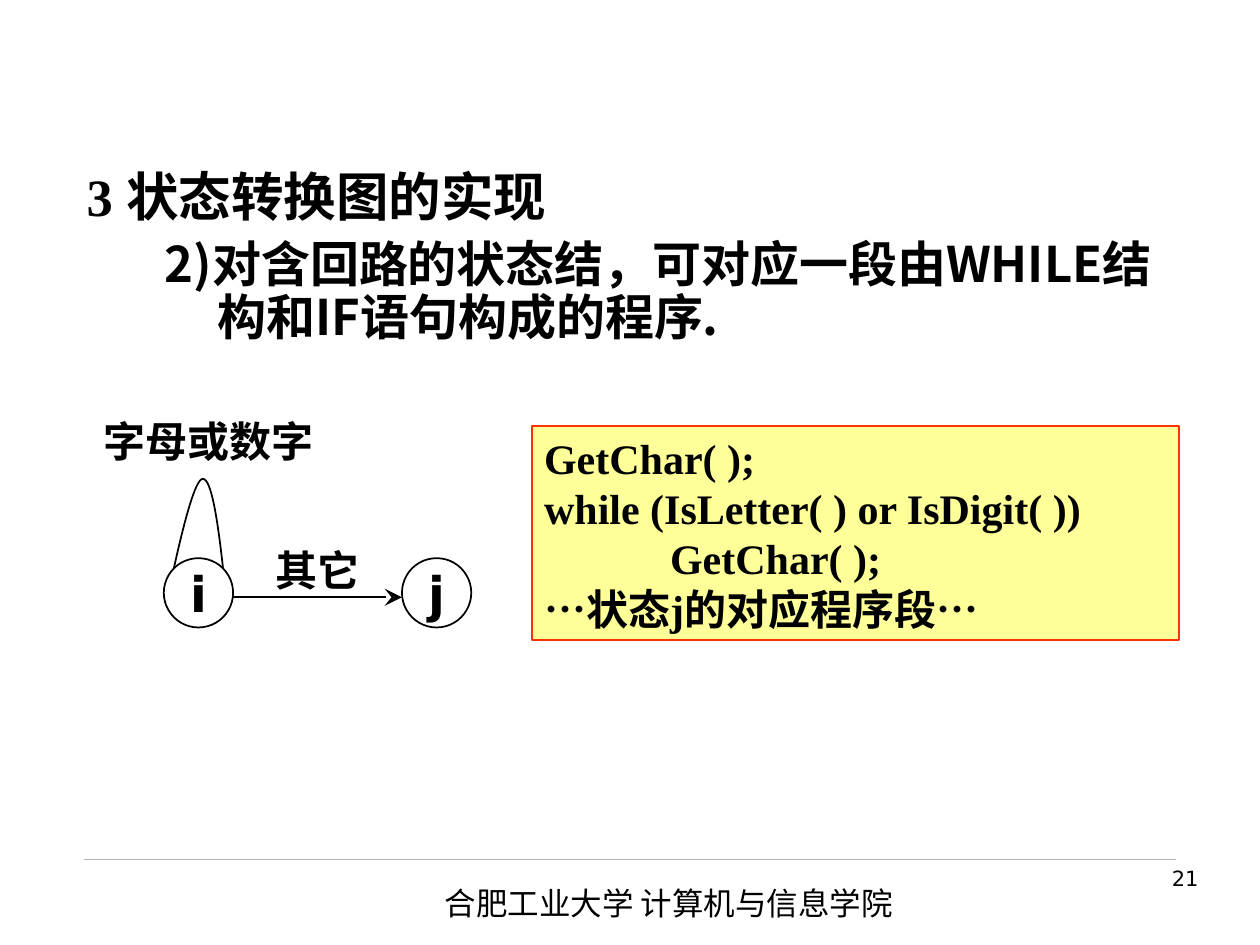
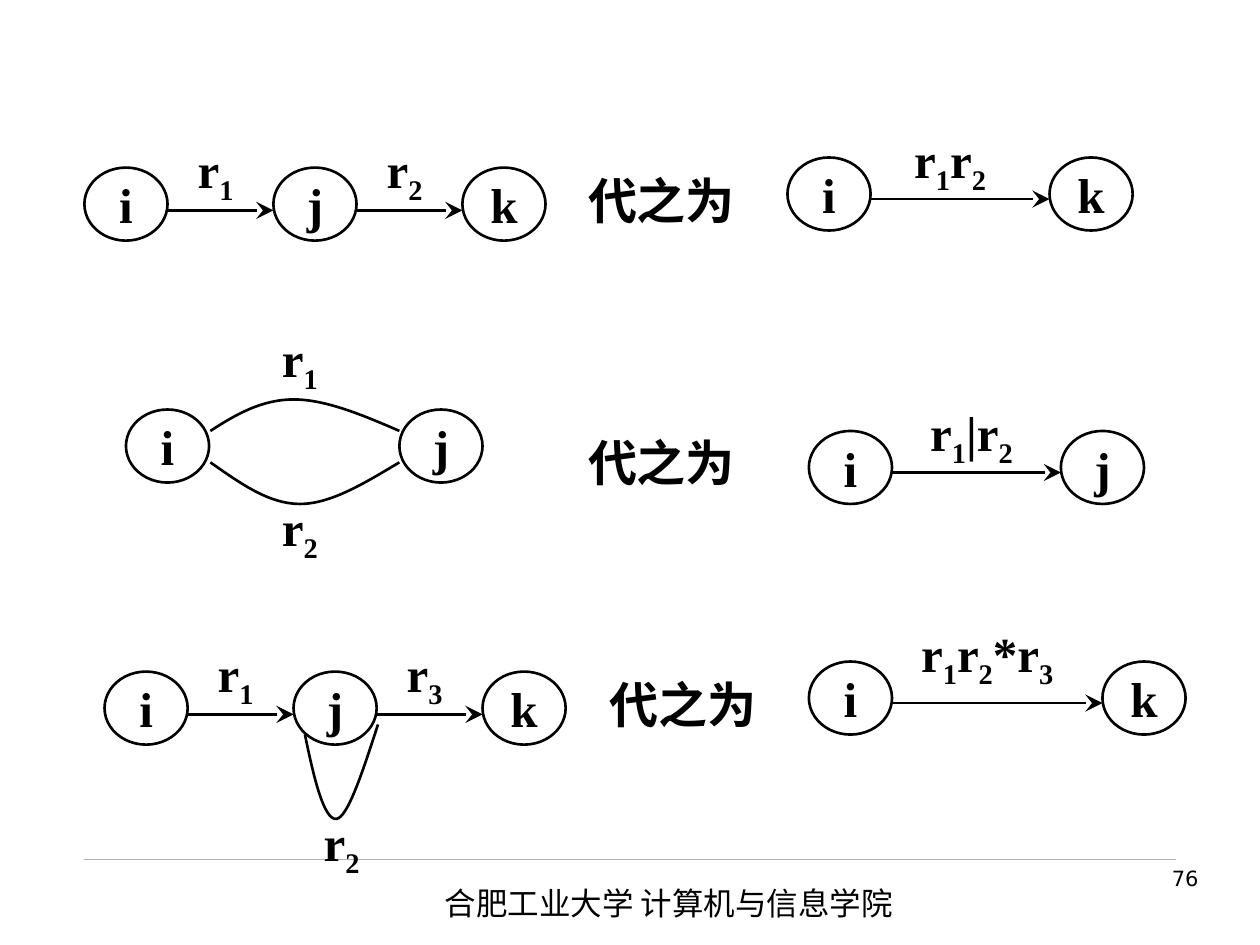
"""Builds two slides on state transition diagrams and their rewriting rules."""
from itertools import groupby

from lxml import etree
from pptx import Presentation
from pptx.dml.color import RGBColor
from pptx.enum.shapes import MSO_CONNECTOR, MSO_SHAPE
from pptx.enum.text import MSO_ANCHOR, PP_ALIGN
from pptx.oxml.ns import qn
from pptx.util import Inches, Pt

BLACK, RULE_GREY = "000000", "B2B2B2"
CODE_FILL, CODE_BORDER = "FFFF99", "FF3300"
SERIF, SANS, CHINESE, PLAIN = "Times New Roman", "Arial", "Noto Sans CJK SC", "DejaVu Sans"
SCHOOL = "合肥工业大学 计算机与信息学院"
NODE_WIDTH, NODE_HEIGHT = 0.66, 0.58


def color(value):
    """Turn a hex string into a colour."""
    return RGBColor.from_string(value)


class DiagramDeck:
    """Holds the deck, the current slide and the drawing style."""

    def __init__(self):
        """Start an empty deck of 10 by 7.5 inches."""
        self.deck = Presentation()
        self.deck.slide_width, self.deck.slide_height = Inches(10), Inches(7.5)
        self.page = None
        self.weight = 1

    def new_page(self, number, weight):
        """Add a page with its footer and set the diagram line weight."""
        self.page = self.deck.slides.add_slide(self.deck.slide_layouts[6])
        self.weight = weight
        self.line((0.67, 6.82), (9.33, 6.82), RULE_GREY, 0.25)
        self.text(3.43, 6.97, 4.72, 0.4, SCHOOL, 18, CHINESE, bold=False)
        self.text(7.44, 6.82, 2.17, 0.52, number, 12, PLAIN, PP_ALIGN.RIGHT, bold=False)

    def span(self, para, text, size, font=SERIF, bold=True):
        """Add one run with Latin and Chinese typefaces."""
        span = para.add_run()
        span.text = text
        span.font.size, span.font.bold, span.font.name = Pt(size), bold, font
        span.font.color.rgb = color(BLACK)
        properties = span._r.get_or_add_rPr()
        etree.SubElement(properties, qn("a:ea")).set("typeface", CHINESE)
        return properties

    def frame(self, shape, wrap=True, anchor=MSO_ANCHOR.TOP):
        """Prepare a text frame, without side margins if it does not wrap."""
        frame = shape.text_frame
        frame.word_wrap, frame.vertical_anchor = wrap, anchor
        if not wrap:
            frame.margin_left = frame.margin_right = 0
        return frame

    def box(self, left, top, width, height, wrap=True, anchor=MSO_ANCHOR.TOP):
        """Add an empty text box and return its frame."""
        shape = self.page.shapes.add_textbox(Inches(left), Inches(top), Inches(width), Inches(height))
        return self.frame(shape, wrap, anchor)

    def text(self, left, top, width, height, text, size, font=SERIF,
             align=PP_ALIGN.LEFT, bold=True, wrap=True):
        """Add a text box of one run."""
        para = self.box(left, top, width, height, wrap).paragraphs[0]
        para.alignment = align
        self.span(para, text, size, font, bold)

    def label(self, left, top, width, text, height=NODE_HEIGHT):
        """Add a centred label whose digits are subscripts."""
        para = self.box(left, top, width, height, False, MSO_ANCHOR.MIDDLE).paragraphs[0]
        para.alignment = PP_ALIGN.CENTER
        for is_index, characters in groupby(text, str.isdigit):
            properties = self.span(para, "".join(characters), 28)
            if is_index:
                properties.set("baseline", "-25000")

    def shape(self, kind, left, top, width, height, border=BLACK, fill=None):
        """Add an outlined preset shape."""
        shape = self.page.shapes.add_shape(kind, Inches(left), Inches(top), Inches(width), Inches(height))
        self.outline(shape, border, fill)
        return shape

    def outline(self, shape, border=BLACK, fill=None):
        """Give a shape its line and fill without a shadow."""
        shape.shadow.inherit = False
        shape.line.color.rgb, shape.line.width = color(border), Pt(self.weight)
        if fill:
            shape.fill.solid()
            shape.fill.fore_color.rgb = color(fill)
        else:
            shape.fill.background()

    def node(self, left, top, name, width=NODE_WIDTH, height=NODE_HEIGHT, font=SERIF):
        """Add a named state."""
        state = self.shape(MSO_SHAPE.OVAL, left, top, width, height)
        para = self.frame(state, False, MSO_ANCHOR.MIDDLE).paragraphs[0]
        para.alignment = PP_ALIGN.CENTER
        self.span(para, name, 28, font)

    def line(self, start, end, stroke=BLACK, weight=None, arrow=False):
        """Add a straight line, with an arrowhead on request."""
        points = [Inches(value) for value in (*start, *end)]
        line = self.page.shapes.add_connector(MSO_CONNECTOR.STRAIGHT, *points)
        line.line.color.rgb, line.line.width = color(stroke), Pt(weight or self.weight)
        if arrow:
            etree.SubElement(line.line._get_or_add_ln(), qn("a:tailEnd"),
                             type="stealth", w="lg", len="lg")
        etree.SubElement(line._element.spPr, qn("a:effectLst"))

    def curve(self, start, *points):
        """Draw joined cubic curves, with two controls and an end for each."""
        builder = self.page.shapes.build_freeform(Inches(start[0]), Inches(start[1]))
        builder.add_line_segments([(Inches(x), Inches(y)) for x, y in points], close=False)
        shape = builder.convert_to_shape()
        outline = next(shape._element.iter(qn("a:path")))
        for index, segment in enumerate(outline.findall(qn("a:lnTo"))):
            if index % 3 == 0:
                cubic = etree.SubElement(outline, qn("a:cubicBezTo"))
            cubic.append(segment[0])
            outline.remove(segment)
        self.outline(shape)

    def chain(self, left, top, pitch, names, labels=(), inset=0.83, lift=0.25, drop=0.33, label_width=0.92):
        """Add a row of states joined by labelled arrows."""
        lefts = [left + pitch * index for index in range(len(names))]
        for node_left, name in zip(lefts, names):
            self.node(node_left, top, name)
        for node_left, label in zip(lefts, labels):
            level = top + drop
            self.line((node_left + NODE_WIDTH, level), (node_left + pitch, level), arrow=True)
            self.label(node_left + inset, top - lift, label_width, label)

    def outline_text(self, left, top, width, height, items):
        """Add hanging paragraphs given as level, indents, space before and runs."""
        frame = self.box(left, top, width, height)
        for index, (level, margin, hanging, before, runs) in enumerate(items):
            para = frame.add_paragraph() if index else frame.paragraphs[0]
            para.level, para.line_spacing = level, 0.9
            if index:
                para.space_before = Pt(before)
            properties = para._p.get_or_add_pPr()
            properties.set("marL", str(Inches(margin)))
            properties.set("indent", str(-Inches(hanging)))
            for run in runs:
                self.span(para, *run)

    def code(self, left, top, width, height, lines):
        """Add a framed listing with a tab stop at one inch."""
        panel = self.shape(MSO_SHAPE.RECTANGLE, left, top, width, height, CODE_BORDER, CODE_FILL)
        frame = self.frame(panel, True, MSO_ANCHOR.MIDDLE)
        for index, line in enumerate(lines):
            para = frame.add_paragraph() if index else frame.paragraphs[0]
            para.alignment = PP_ALIGN.LEFT
            tabs = etree.SubElement(para._p.get_or_add_pPr(), qn("a:tabLst"))
            etree.SubElement(tabs, qn("a:tab"), pos=str(Inches(1)), algn="l")
            self.span(para, line, 24)


def build_loop_page(deck):
    """Show how a state with a loop becomes a program."""
    deck.new_page("21", 1)
    deck.outline_text(0.59, 1.31, 9, 1.65, [
        (0, 0.51, 0.51, 0, [("3 ", 30), ("状态转换图的实现", 30, CHINESE)]),
        (1, 1.04, 0.42, 7, [("2)对含回路的状态结，可对应一段由WHILE结构和IF语句构成的程序.", 28, CHINESE)]),
    ])
    for left, name in ((1.3, "i"), (3.19, "j")):
        deck.node(left, 4.43, name, 0.55, 0.55, PLAIN)
    deck.curve((1.77, 4.51), (1.73, 4.15), (1.68, 3.8), (1.61, 3.8),
               (1.55, 3.8), (1.46, 4.15), (1.38, 4.51))
    deck.line((1.85, 4.74), (3.19, 4.74), arrow=True)
    deck.text(0.67, 3.25, 1.97, 0.5, "字母或数字", 24, SANS, PP_ALIGN.CENTER)
    deck.text(2.09, 4.27, 0.86, 0.5, "其它", 24, SANS, PP_ALIGN.CENTER, wrap=False)
    deck.code(4.22, 3.38, 5.14, 1.7, [
        "GetChar( );", "while (IsLetter( ) or IsDigit( ))", "\tGetChar( );", "…状态j的对应程序段…"])


def build_rules_page(deck):
    """Show the three rules that merge edges."""
    deck.new_page("76", 1.5)
    for left, top in ((4.6, 1.25), (4.6, 3.33), (4.77, 5.25)):
        deck.label(left, top, 1.3, "代之为", 0.67)

    deck.chain(0.67, 1.33, 1.5, "ijk", ("r1", "r2"), inset=0.58, drop=0.34)
    deck.chain(6.25, 1.25, 2.08, "ik", ("r1r2",))

    deck.chain(1, 3.25, 2.17, "ij")
    deck.curve((1.67, 3.42), (1.87, 3.29), (2.08, 3.17), (2.33, 3.17),
               (2.58, 3.17), (2.87, 3.29), (3.17, 3.42))
    deck.curve((1.67, 3.67), (1.9, 3.83), (2.13, 4), (2.38, 4),
               (2.63, 4), (2.9, 3.83), (3.17, 3.67))
    deck.label(1.92, 2.58, 0.92, "r1")
    deck.label(1.92, 3.92, 0.92, "r2")
    deck.chain(6.42, 3.42, 2, "ij", ("r1|r2",))

    deck.chain(0.83, 5.33, 1.5, "ijk", ("r1", "r3"), inset=0.58, drop=0.34)
    deck.curve((3, 5.75), (2.88, 6.12), (2.76, 6.49), (2.67, 6.5),
               (2.57, 6.51), (2.49, 6.17), (2.42, 5.83))
    deck.label(2.25, 6.42, 0.92, "r2")
    deck.chain(6.42, 5.25, 2.33, "ik", ("r1r2*r3",), lift=0.33, label_width=1.17)


def main():
    """Build both pages and save the deck."""
    diagrams = DiagramDeck()
    build_loop_page(diagrams)
    build_rules_page(diagrams)
    diagrams.deck.save("out.pptx")


if __name__ == "__main__":
    main()
